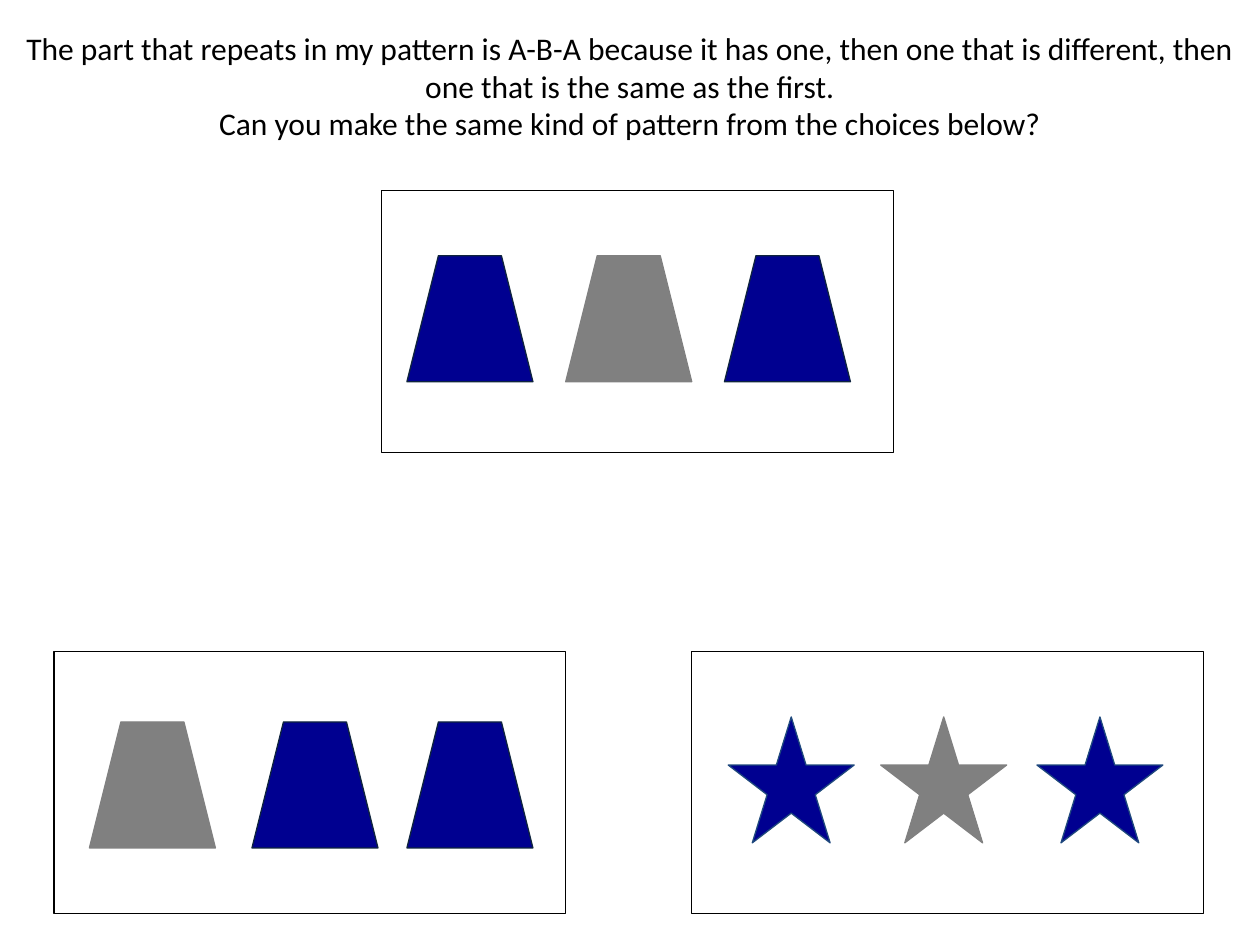
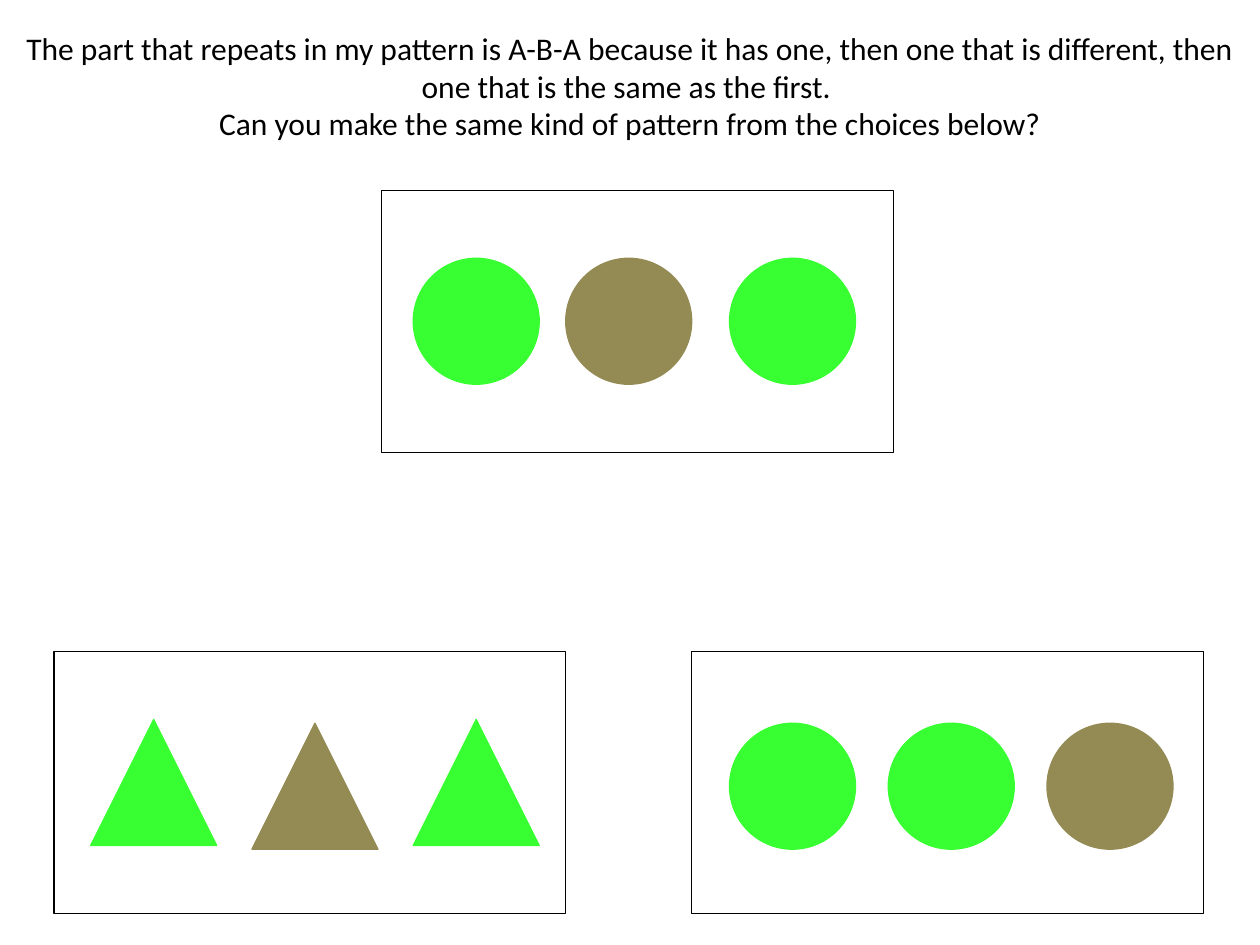
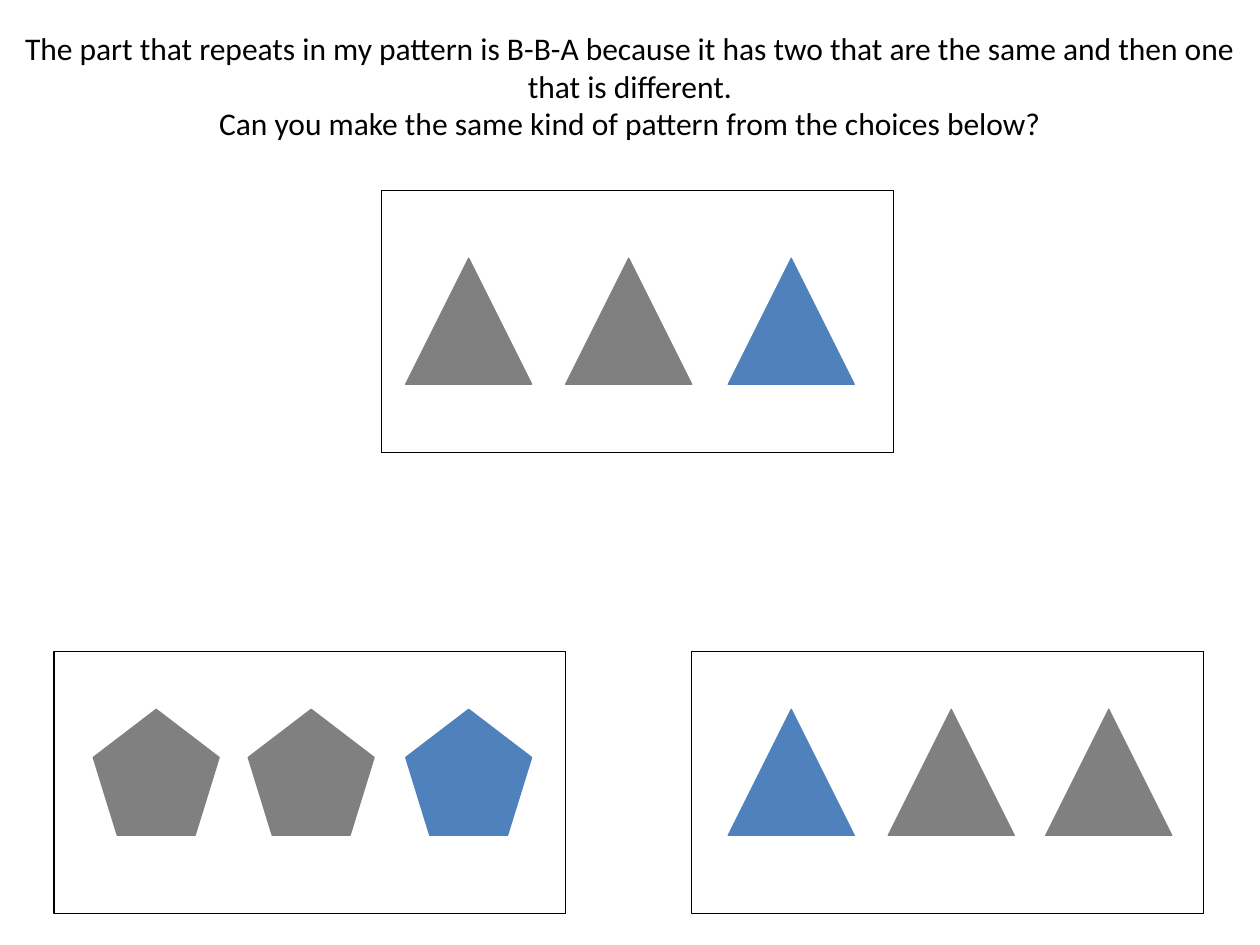
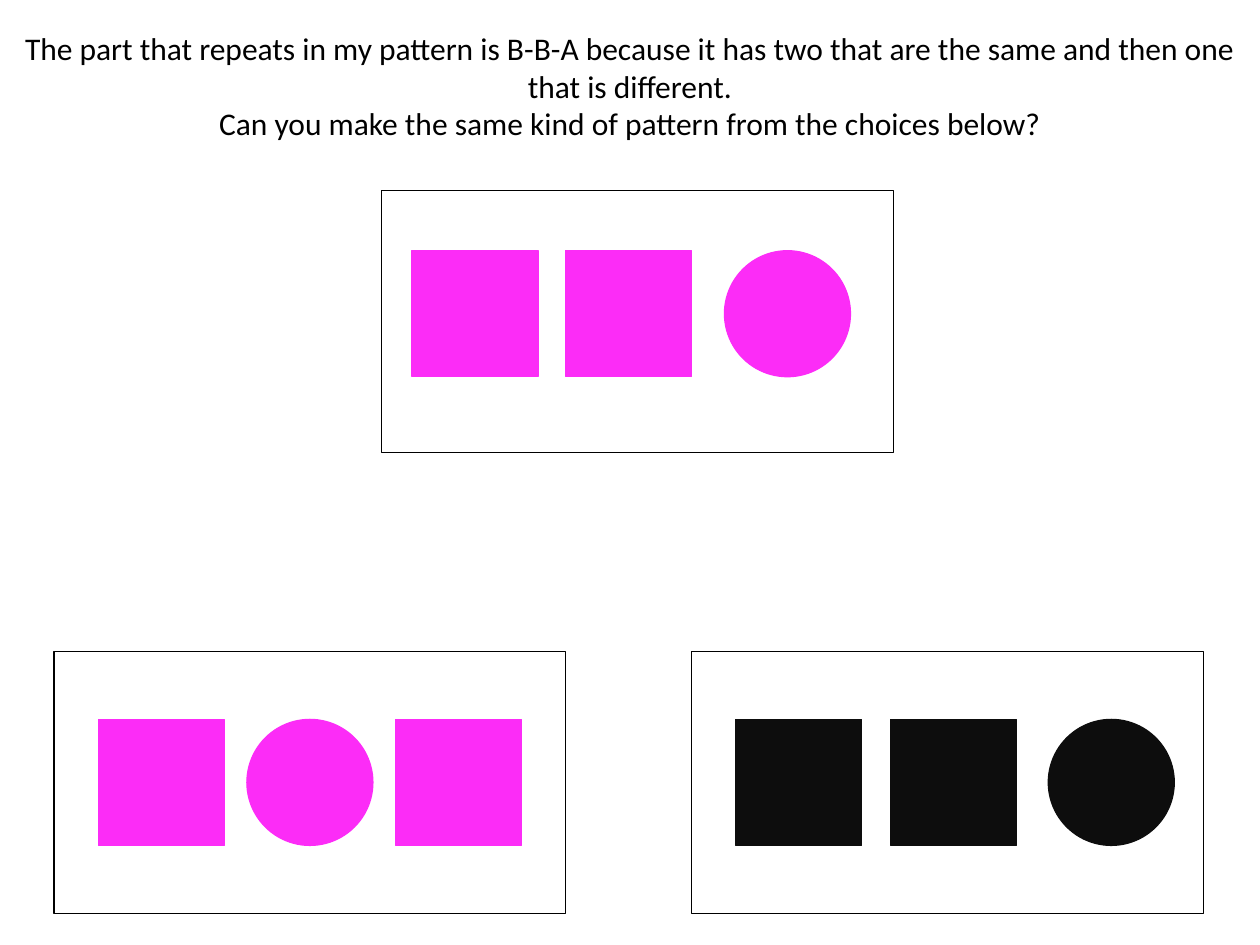
from collections import namedtuple

from pptx import Presentation
from pptx.dml.color import RGBColor
from pptx.enum.shapes import MSO_SHAPE
from pptx.enum.text import MSO_AUTO_SIZE, PP_ALIGN
from pptx.util import Inches, Pt

BLACK = RGBColor(0x00, 0x00, 0x00)
NAVY = RGBColor(0x00, 0x00, 0x90)
DARK_NAVY = RGBColor(0x0F, 0x24, 0x3E)
SLATE_BLUE = RGBColor(0x1F, 0x49, 0x7D)
GRAY = RGBColor(0x80, 0x80, 0x80)
GREEN = RGBColor(0x38, 0xFF, 0x31)
TAN = RGBColor(0x94, 0x8A, 0x54)
BLUE = RGBColor(0x4F, 0x81, 0xBD)
MAGENTA = RGBColor(0xFC, 0x2C, 0xF7)
INK = RGBColor(0x0D, 0x0D, 0x0D)

FONT = "Calibri"
LINE_WIDTH = Pt(0.75)
FIGURE_SIZE = 1
FRAME_SIZE = (4.06, 2.08)
FRAME_CORNERS = ((3.03, 1.51), (0.43, 5.17), (5.49, 5.17))

ABA = ("The part that repeats in my pattern is A-B-A because it has one, then one "
       "that is different, then one that is the same as the first.")
BBA = ("The part that repeats in my pattern is B-B-A because it has two that are "
       "the same and then one that is different.")
QUESTION = "Can you make the same kind of pattern from the choices below?"

TRAPEZOID = MSO_SHAPE.TRAPEZOID
STAR = MSO_SHAPE.STAR_5_POINT
CIRCLE = MSO_SHAPE.OVAL
TRIANGLE = MSO_SHAPE.ISOSCELES_TRIANGLE
PENTAGON = MSO_SHAPE.REGULAR_PENTAGON
SQUARE = MSO_SHAPE.RECTANGLE

Figure = namedtuple("Figure", "kind left fill line", defaults=(None,))


def add_outlined(s, kind, left, top, width, height, line):
    """Add a preset shape with a thin outline and no shadow."""
    sp = s.shapes.add_shape(kind, Inches(left), Inches(top), Inches(width), Inches(height))
    sp.shadow.inherit = False
    sp.line.color.rgb = line
    sp.line.width = LINE_WIDTH
    return sp


def add_frame(s, left, top):
    """Add one of the empty boxes that hold a pattern."""
    add_outlined(s, MSO_SHAPE.RECTANGLE, left, top, *FRAME_SIZE, BLACK).fill.background()


def add_prompt(s, rule):
    """Add the rule of the pattern and the question below it."""
    box = s.shapes.add_textbox(Inches(0), Inches(0.18), Inches(10), Inches(1.01))
    tf = box.text_frame
    tf.word_wrap = True
    tf.auto_size = MSO_AUTO_SIZE.SHAPE_TO_FIT_TEXT
    for p, text in ((tf.paragraphs[0], rule), (tf.add_paragraph(), QUESTION)):
        p.alignment = PP_ALIGN.CENTER
        r = p.add_run()
        r.text = text
        r.font.name = FONT
        r.font.size = Pt(18)
        r.font.color.rgb = BLACK


def add_row(s, top, *figures):
    """Add the figures of a pattern at one height."""
    for figure in figures:
        sp = add_outlined(s, figure.kind, figure.left, top, FIGURE_SIZE, FIGURE_SIZE,
                          figure.line or figure.fill)
        sp.fill.solid()
        sp.fill.fore_color.rgb = figure.fill


def add_pattern_slide(prs, rule):
    """Add a slide with the prompt and three pattern frames."""
    s = prs.slides.add_slide(prs.slide_layouts[6])
    for corner in FRAME_CORNERS:
        add_frame(s, *corner)
    add_prompt(s, rule)
    return s


def add_trapezoid_slide(prs):
    """Add the A-B-A slide with trapezoids and stars."""
    s = add_pattern_slide(prs, ABA)
    add_row(s, 2.03, Figure(TRAPEZOID, 3.23, NAVY, DARK_NAVY), Figure(TRAPEZOID, 4.49, GRAY),
            Figure(TRAPEZOID, 5.75, NAVY, DARK_NAVY))
    add_row(s, 5.73, Figure(TRAPEZOID, 0.71, GRAY), Figure(TRAPEZOID, 2, NAVY, DARK_NAVY),
            Figure(TRAPEZOID, 3.23, NAVY, DARK_NAVY))
    add_row(s, 5.69, Figure(STAR, 5.78, NAVY, SLATE_BLUE), Figure(STAR, 6.99, GRAY),
            Figure(STAR, 8.23, NAVY, SLATE_BLUE))


def add_circle_slide(prs):
    """Add the A-B-A slide with circles and triangles."""
    s = add_pattern_slide(prs, ABA + " ")
    add_row(s, 2.05, Figure(CIRCLE, 3.28, GREEN), Figure(CIRCLE, 4.49, TAN),
            Figure(CIRCLE, 5.79, GREEN))
    add_row(s, 5.71, Figure(TRIANGLE, 0.72, GREEN), Figure(TRIANGLE, 3.28, GREEN))
    add_row(s, 5.74, Figure(TRIANGLE, 2, TAN), Figure(CIRCLE, 5.79, GREEN),
            Figure(CIRCLE, 7.05, GREEN), Figure(CIRCLE, 8.31, TAN))


def add_triangle_slide(prs):
    """Add the B-B-A slide with triangles and pentagons."""
    s = add_pattern_slide(prs, BBA)
    add_row(s, 2.05, Figure(TRIANGLE, 3.22, GRAY), Figure(TRIANGLE, 4.49, GRAY),
            Figure(TRIANGLE, 5.78, BLUE))
    add_row(s, 5.63, Figure(PENTAGON, 0.74, GRAY), Figure(PENTAGON, 1.97, GRAY),
            Figure(PENTAGON, 3.22, BLUE), Figure(TRIANGLE, 5.78, BLUE),
            Figure(TRIANGLE, 7.05, GRAY), Figure(TRIANGLE, 8.3, GRAY))


def add_square_slide(prs):
    """Add the B-B-A slide with squares and circles."""
    s = add_pattern_slide(prs, BBA)
    add_row(s, 1.99, Figure(SQUARE, 3.27, MAGENTA), Figure(SQUARE, 4.49, MAGENTA),
            Figure(CIRCLE, 5.75, MAGENTA))
    add_row(s, 5.71, Figure(SQUARE, 0.78, MAGENTA), Figure(CIRCLE, 1.96, MAGENTA),
            Figure(SQUARE, 3.14, MAGENTA), Figure(SQUARE, 5.84, INK),
            Figure(SQUARE, 7.07, INK), Figure(CIRCLE, 8.32, INK))


def main():
    """Build the four pattern slides and save them."""
    prs = Presentation()
    prs.slide_width = Inches(10)
    prs.slide_height = Inches(7.5)
    add_trapezoid_slide(prs)
    add_circle_slide(prs)
    add_triangle_slide(prs)
    add_square_slide(prs)
    prs.save("out.pptx")


if __name__ == "__main__":
    main()
